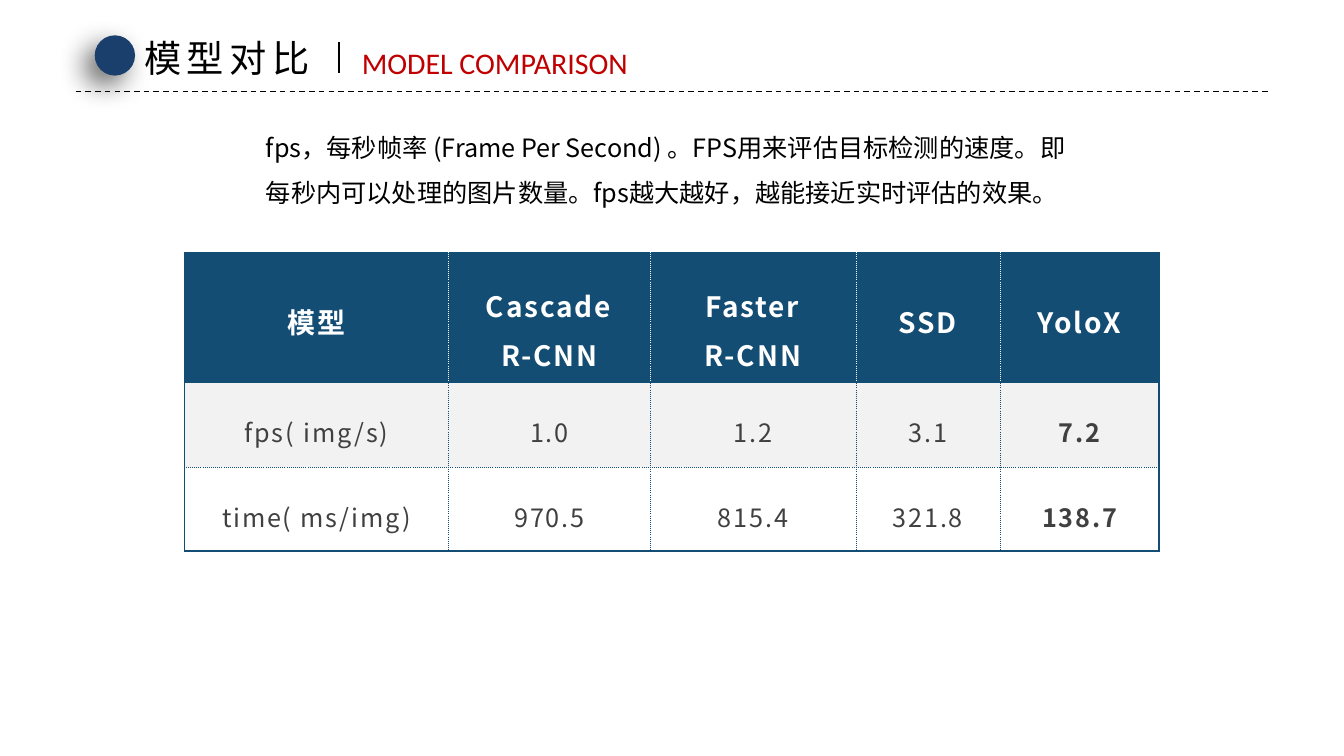
import lxml.etree
import pptx
import pptx.dml.color
import pptx.enum.dml
import pptx.enum.shapes
import pptx.enum.text
import pptx.oxml.ns
import pptx.util

BLACK = pptx.dml.color.RGBColor(0x00, 0x00, 0x00)
WHITE = pptx.dml.color.RGBColor(0xFF, 0xFF, 0xFF)
NAVY = pptx.dml.color.RGBColor(0x1A, 0x3F, 0x6C)
RED = pptx.dml.color.RGBColor(0xC0, 0x00, 0x00)
TEAL = pptx.dml.color.RGBColor(0x14, 0x4D, 0x73)
PALE = pptx.dml.color.RGBColor(0xF2, 0xF2, 0xF2)
GRAY = pptx.dml.color.RGBColor(0x40, 0x40, 0x40)

CJK_FONT = "Noto Sans CJK SC"
LATIN_FONT = "Calibri"

# The slide is a grid of 100 columns by 100 rows.
SLIDE_WIDTH = pptx.util.Inches(13.33)
SLIDE_HEIGHT = pptx.util.Inches(7.5)

MODEL_ROWS = [
    ["模型", "Cascade R-CNN", "Faster R-CNN", "SSD", "YoloX"],
    ["fps( img/s)", "1.0", "1.2", "3.1", "7.2"],
    ["time( ms/img)", "970.5", "815.4", "321.8", "138.7"],
]
COLUMN_WIDTHS = [19.65, 15, 15.3, 10.73, 11.85]
ROW_HEIGHTS = [16.93, 11.07, 11.07]
ROW_FILLS = [TEAL, PALE, WHITE]


def columns(count):
    return round(SLIDE_WIDTH * count / 100)


def rows(count):
    return round(SLIDE_HEIGHT * count / 100)


def grid_box(left, top, width, height):
    return columns(left), rows(top), columns(width), rows(height)


def add_xml(parent, tag, **attributes):
    return lxml.etree.SubElement(parent, pptx.oxml.ns.qn(tag), attributes)


def format_run(run, size, font_name, color, bold=False, spacing=0):
    """Style a run; spacing is the letter spacing in points."""
    font = run.font
    font.size = pptx.util.Pt(size)
    font.bold = bold
    font.color.rgb = color
    font.name = font_name
    properties = run._r.get_or_add_rPr()
    add_xml(properties, "a:ea", typeface=font_name)
    if spacing:
        properties.set("spc", str(round(spacing * 100)))


def add_text(slide, box, text, size, font_name, color, spacing=0, wrap=False, line_spacing=1.0):
    text_frame = slide.shapes.add_textbox(*grid_box(*box)).text_frame
    text_frame.word_wrap = wrap
    text_frame.auto_size = pptx.enum.text.MSO_AUTO_SIZE.SHAPE_TO_FIT_TEXT
    text_frame.text = text
    paragraph = text_frame.paragraphs[0]
    paragraph.line_spacing = line_spacing
    format_run(paragraph.runs[0], size, font_name, color, spacing=spacing)


def add_line(slide, start, end, width):
    line = slide.shapes.add_connector(
        pptx.enum.shapes.MSO_CONNECTOR.STRAIGHT,
        columns(start[0]), rows(start[1]), columns(end[0]), rows(end[1]))
    line.line.color.rgb = BLACK
    line.line.width = pptx.util.Pt(width)
    add_xml(line._element.spPr, "a:effectLst")
    return line


def add_header(slide, left, top, width, height):
    bottom = top + height
    rule = add_line(slide, (left, bottom), (left + width, bottom), 1)
    rule.line.dash_style = pptx.enum.dml.MSO_LINE.DASH

    dot = slide.shapes.add_shape(
        pptx.enum.shapes.MSO_SHAPE.OVAL, *grid_box(left + 1.42, top + 0.67, 3, 5.33))
    dot.fill.solid()
    dot.fill.fore_color.rgb = NAVY
    dot.line.fill.background()
    dot.shadow.inherit = False
    effects = dot._element.spPr.find(pptx.oxml.ns.qn("a:effectLst"))
    shadow = add_xml(effects, "a:outerShdw", blurRad=str(pptx.util.Pt(20)),
                     dist=str(pptx.util.Pt(10)), dir="8100000", algn="tr", rotWithShape="0")
    add_xml(add_xml(shadow, "a:srgbClr", val=str(BLACK)), "a:alpha", val="60000")

    add_text(slide, (left + 4.35, top, 14.33, 7.33),
             "模型对比", 26.6, CJK_FONT, BLACK, spacing=4)
    add_text(slide, (left + 20.55, top + 1.2, 25.13, 6.13),
             "MODEL COMPARISON", 21.4, LATIN_FONT, RED)
    add_line(slide, (left + 19.58, top + 1.6), (left + 19.58, top + 5.6), 1.5)


def set_cell_borders(cell, row, column):
    """Solid outer frame and header edge, dotted lines between other cells."""
    last_row, last_column = len(ROW_HEIGHTS) - 1, len(COLUMN_WIDTHS) - 1
    solid_sides = {
        "a:lnL": column == 0,
        "a:lnR": column == last_column,
        "a:lnT": row <= 1,
        "a:lnB": row in (0, last_row),
    }
    properties = cell._tc.get_or_add_tcPr()
    for position, (tag, solid) in enumerate(solid_sides.items()):
        color = TEAL if solid or row > 0 else WHITE
        border = add_xml(properties, tag, w=str(pptx.util.Pt(1.5 if solid else 0.25)))
        add_xml(add_xml(border, "a:solidFill"), "a:srgbClr", val=str(color))
        add_xml(border, "a:prstDash", val="solid" if solid else "sysDot")
        properties.insert(position, border)


def fill_cell(cell, text, row, column):
    cell.fill.solid()
    cell.fill.fore_color.rgb = ROW_FILLS[row]
    cell.margin_left = cell.margin_right = pptx.util.Inches(0.35)
    cell.margin_top = cell.margin_bottom = pptx.util.Inches(0.24)
    cell.vertical_anchor = pptx.enum.text.MSO_ANCHOR.MIDDLE
    cell.text_frame.text = text
    paragraph = cell.text_frame.paragraphs[0]
    paragraph.alignment = pptx.enum.text.PP_ALIGN.CENTER
    paragraph.line_spacing = 1.2
    is_header = row == 0
    is_best = column == len(COLUMN_WIDTHS) - 1
    format_run(paragraph.runs[0], 20 if is_header else 18, CJK_FONT,
               WHITE if is_header else GRAY, bold=is_header or is_best, spacing=1.3)
    set_cell_borders(cell, row, column)


def add_model_table(slide, left, top):
    box = grid_box(left, top, sum(COLUMN_WIDTHS), sum(ROW_HEIGHTS))
    table = slide.shapes.add_table(len(ROW_HEIGHTS), len(COLUMN_WIDTHS), *box).table
    table.first_row = table.horz_banding = False
    for table_column, width in zip(table.columns, COLUMN_WIDTHS):
        table_column.width = columns(width)
    for row, (height, texts) in enumerate(zip(ROW_HEIGHTS, MODEL_ROWS)):
        table.rows[row].height = rows(height)
        for column, text in enumerate(texts):
            fill_cell(table.cell(row, column), text, row, column)


def add_explanation(slide, *box):
    add_text(slide, box,
             "fps，每秒帧率 (Frame Per Second) 。FPS用来评估目标检测的速度。"
             "即每秒内可以处理的图片数量。fps越大越好，越能接近实时评估的效果。",
             18, CJK_FONT, BLACK, wrap=True, line_spacing=1.5)


def main():
    presentation = pptx.Presentation()
    presentation.slide_width = SLIDE_WIDTH
    presentation.slide_height = SLIDE_HEIGHT
    slide = presentation.slides.add_slide(presentation.slide_layouts[6])
    add_header(slide, 5.63, 4, 88.75, 8.13)
    add_model_table(slide, 13.73, 33.47)
    add_explanation(slide, 19.05, 14.8, 61.95, 13.47)
    presentation.save("out.pptx")


if __name__ == "__main__":
    main()
